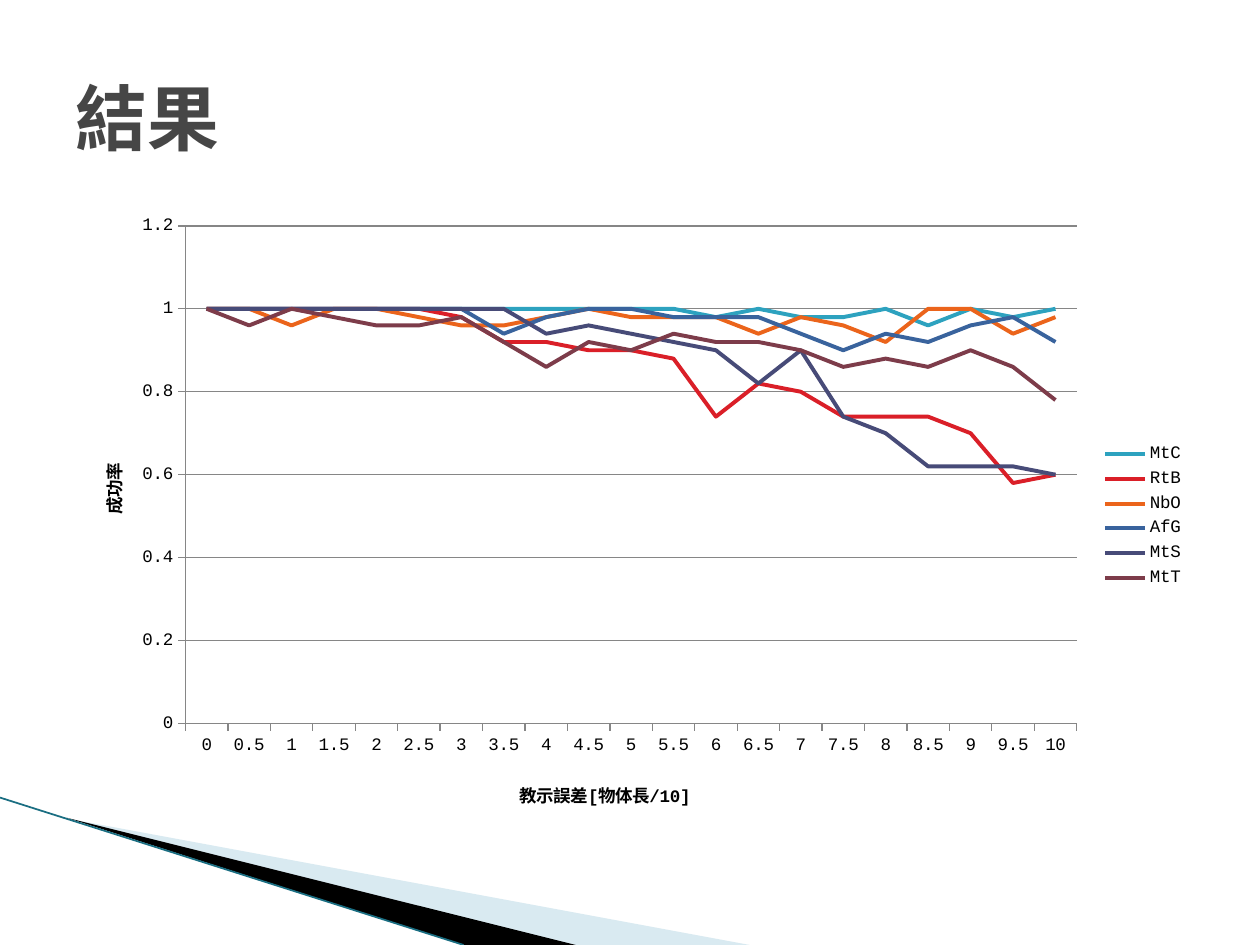
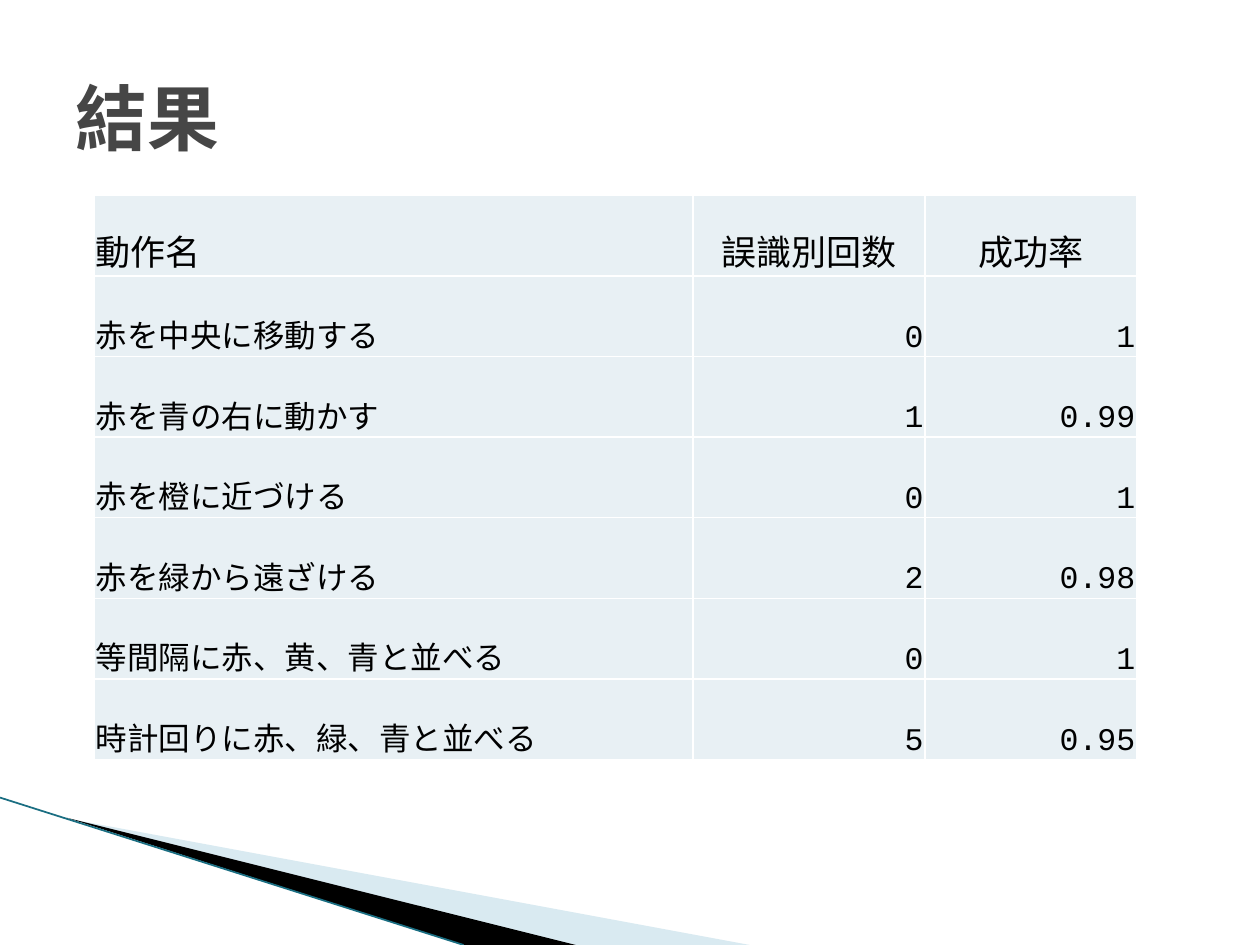
import pptx
import pptx.chart.data
import pptx.dml.color
import pptx.enum.chart
import pptx.enum.shapes
import pptx.enum.text
import pptx.oxml
import pptx.oxml.ns
import pptx.util
from pptx.util import Inches, Pt

FONT = "Courier New"
COLORS = {
    "title": "464646", "text": "000000", "axis": "868686",
    "pale wedge": "A0CBDC", "dark wedge": "000000", "edge": "1A6E82",
    "cell": "E8F0F4", "border": "FFFFFF",
    "MtC": "2DA2BF", "RtB": "DA1F28", "NbO": "EB641B",
    "AfG": "39639D", "MtS": "474B78", "MtT": "7D3C4A",
}
RGB = {name: pptx.dml.color.RGBColor.from_string(value) for name, value in COLORS.items()}
NAMESPACES = pptx.oxml.ns.nsdecls("a", "c")
WEDGES = [
    ("pale wedge", [(0.55, 6.5), (5.95, 7.5), (4.56, 7.5)]),
    ("dark wedge", [(0.53, 6.49), (4.57, 7.5), (3.68, 7.5)]),
]


def add_result_slide(presentation):
    """Add a slide with the shared title and the wedges in its lower left corner."""
    slide = presentation.slides.add_slide(presentation.slide_layouts[5])
    for color, points in WEDGES:
        corners = [(Inches(x), Inches(y)) for x, y in points]
        builder = slide.shapes.build_freeform(*corners[0])
        builder.add_line_segments(corners[1:], close=True)
        wedge = builder.convert_to_shape()
        wedge.shadow.inherit = False
        wedge.fill.solid()
        wedge.fill.fore_color.rgb = RGB[color]
        wedge.line.fill.background()
        if color == "pale wedge":
            fill_color = wedge.fill._xPr.find(".//" + pptx.oxml.ns.qn("a:srgbClr"))
            fill_color.append(pptx.oxml.parse_xml(f'<a:alpha {NAMESPACES} val="40000"/>'))
    edge = slide.shapes.add_connector(
        pptx.enum.shapes.MSO_CONNECTOR.STRAIGHT, 0, Inches(6.33), Inches(3.68), Inches(7.5))
    edge.line.color.rgb = RGB["edge"]
    edge.line.width = Pt(1)
    edge._element.spPr.append(pptx.oxml.parse_xml(f"<a:effectLst {NAMESPACES}/>"))

    title = slide.shapes.title
    title.left, title.top = Inches(0.5), Inches(0.3)
    title.width, title.height = Inches(9), Inches(1.25)
    title.text_frame.text = "結果"
    title.text_frame.vertical_anchor = pptx.enum.text.MSO_ANCHOR.MIDDLE
    paragraph = title.text_frame.paragraphs[0]
    paragraph.alignment = pptx.enum.text.PP_ALIGN.LEFT
    paragraph.font.name, paragraph.font.size = FONT, Pt(41)
    paragraph.font.bold = True
    paragraph.font.color.rgb = RGB["title"]
    return slide


def place_in_chart(element, index, target="", **fractions):
    """Give a chart part a manual layout, in fractions of the chart."""
    for layout in element.findall(pptx.oxml.ns.qn("c:layout")):
        element.remove(layout)
    modes = "".join(f'<c:{axis}Mode val="edge"/>' for axis in "xy")
    sizes = "".join(f'<c:{name} val="{value}"/>' for name, value in fractions.items())
    element.insert(index, pptx.oxml.parse_xml(
        f"<c:layout {NAMESPACES}><c:manualLayout>{target}{modes}{sizes}"
        "</c:manualLayout></c:layout>"))


presentation = pptx.Presentation()
presentation.slide_width, presentation.slide_height = Inches(10), Inches(7.5)

# Success rate against teaching error
slide = add_result_slide(presentation)
SUCCESS_RATES = {
    "MtC": [1, 1, 1, 1, 1, 1, 1, 1, 1, 1, 1, 1, 0.98, 1, 0.98, 0.98, 1, 0.96, 1, 0.98, 1],
    "RtB": [1, 1, 1, 1, 1, 1, 0.98, 0.92, 0.92, 0.9, 0.9, 0.88, 0.74, 0.82, 0.8,
            0.74, 0.74, 0.74, 0.7, 0.58, 0.6],
    "NbO": [1, 1, 0.96, 1, 1, 0.98, 0.96, 0.96, 0.98, 1, 0.98, 0.98, 0.98, 0.94, 0.98,
            0.96, 0.92, 1, 1, 0.94, 0.98],
    "AfG": [1, 1, 1, 1, 1, 1, 1, 0.94, 0.98, 1, 1, 0.98, 0.98, 0.98, 0.94,
            0.9, 0.94, 0.92, 0.96, 0.98, 0.92],
    "MtS": [1, 1, 1, 1, 1, 1, 1, 1, 0.94, 0.96, 0.94, 0.92, 0.9, 0.82, 0.9,
            0.74, 0.7, 0.62, 0.62, 0.62, 0.6],
    "MtT": [1, 0.96, 1, 0.98, 0.96, 0.96, 0.98, 0.92, 0.86, 0.92, 0.9, 0.94, 0.92, 0.92, 0.9,
            0.86, 0.88, 0.86, 0.9, 0.86, 0.78],
}
chart_data = pptx.chart.data.CategoryChartData()
chart_data.categories = [f"{step / 2:g}" for step in range(21)]
for name, rates in SUCCESS_RATES.items():
    chart_data.add_series(name, rates)
chart = slide.shapes.add_chart(
    pptx.enum.chart.XL_CHART_TYPE.LINE,
    Inches(0.5), Inches(1.62), Inches(9), Inches(4.95), chart_data).chart
chart.font.name, chart.font.size = FONT, Pt(10)
chart.font.color.rgb = RGB["text"]
chart.has_title = False
chart.has_legend = True
chart.legend.position = pptx.enum.chart.XL_LEGEND_POSITION.RIGHT
chart.legend.include_in_layout = False
chart.plots[0].vary_by_categories = False
for series in chart.plots[0].series:
    series.smooth = False
    series.marker.style = pptx.enum.chart.XL_MARKER_STYLE.NONE
    series.format.line.color.rgb = RGB[series.name]
    series.format.line.width = Pt(2.25)

AXIS_TITLES = [
    (chart.category_axis, "教示誤差[物体長/10]", 0.4, 0.92),
    (chart.value_axis, "成功率", 0.03, 0.41),
]
for axis, label, x, y in AXIS_TITLES:
    axis.major_tick_mark = pptx.enum.chart.XL_TICK_MARK.OUTSIDE
    axis.format.line.color.rgb = RGB["axis"]
    axis.format.line.width = Pt(0.75)
    axis.axis_title.text_frame.text = label
    font = axis.axis_title.text_frame.paragraphs[0].font
    font.name, font.size, font.bold = FONT, Pt(10), True
    font.color.rgb = RGB["text"]
    place_in_chart(axis.axis_title._element, 1, x=x, y=y)
chart.value_axis.minimum_scale, chart.value_axis.maximum_scale = 0, 1.2
chart.value_axis.major_unit = 0.2
chart.value_axis.has_major_gridlines = True
chart.value_axis.major_gridlines.format.line.color.rgb = RGB["axis"]
chart.value_axis.major_gridlines.format.line.width = Pt(0.75)
place_in_chart(chart._chartSpace.chart.plotArea, 0, '<c:layoutTarget val="inner"/>',
               x=0.108, y=0.035, w=0.786, h=0.798)

# Misrecognitions by motion
slide = add_result_slide(presentation)
MOTION_ROWS = [
    ("動作名", "誤識別回数", "成功率"),
    ("赤を中央に移動する", "0", "1"),
    ("赤を青の右に動かす", "1", "0.99"),
    ("赤を橙に近づける", "0", "1"),
    ("赤を緑から遠ざける", "2", "0.98"),
    ("等間隔に赤、黄、青と並べる", "0", "1"),
    ("時計回りに赤、緑、青と並べる", "5", "0.95"),
]
table = slide.shapes.add_table(
    len(MOTION_ROWS), 3, Inches(0.75), Inches(1.55), Inches(8.27), Inches(4.48)).table
table.first_row = table.horz_banding = False
for column, width in zip(table.columns, (4.75, 1.84, 1.68)):
    column.width = Inches(width)
for row_index, row_texts in enumerate(MOTION_ROWS):
    table.rows[row_index].height = Inches(0.64)
    for column_index, text in enumerate(row_texts):
        cell = table.cell(row_index, column_index)
        cell.text = text
        cell.vertical_anchor = pptx.enum.text.MSO_ANCHOR.BOTTOM
        cell.margin_left = cell.margin_top = cell.margin_right = Inches(0.01)
        cell.margin_bottom = 0
        paragraph = cell.text_frame.paragraphs[0]
        paragraph.font.name = FONT
        paragraph.font.size = Pt(18 if row_index else 20)
        paragraph.font.color.rgb = RGB["text"]
        if column_index == 0:
            paragraph.alignment = pptx.enum.text.PP_ALIGN.LEFT
        elif row_index == 0:
            paragraph.alignment = pptx.enum.text.PP_ALIGN.CENTER
        else:
            paragraph.alignment = pptx.enum.text.PP_ALIGN.RIGHT
        cell_properties = cell._tc.get_or_add_tcPr()
        for side in ("lnL", "lnR", "lnT", "lnB"):
            cell_properties.append(pptx.oxml.parse_xml(
                f'<a:{side} {NAMESPACES} w="{Pt(1)}"><a:solidFill>'
                f'<a:srgbClr val="{COLORS["border"]}"/></a:solidFill></a:{side}>'))
        cell.fill.solid()
        cell.fill.fore_color.rgb = RGB["cell"]

presentation.save("out.pptx")
